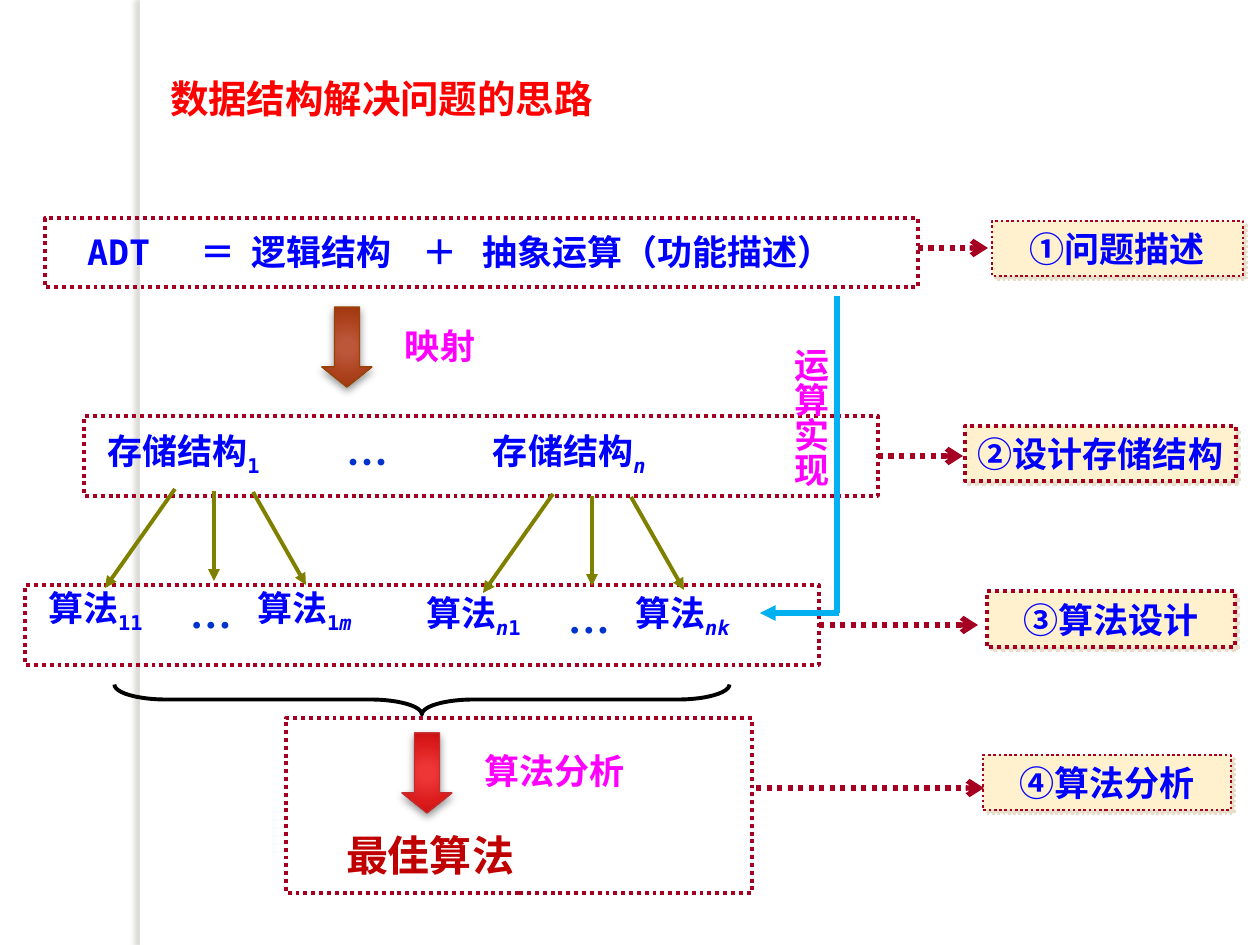
from dataclasses import dataclass

from lxml import etree
from pptx import Presentation
from pptx import util as u
from pptx.dml.color import RGBColor
from pptx.enum import dml, shapes, text
from pptx.oxml import ns

PX = 914400 / 126


@dataclass(frozen=True)
class Theme:
    sans: str = "Noto Sans CJK SC"
    mono: str = "DejaVu Sans Mono"
    serif: str = "Times New Roman"
    body: int = 20
    title: int = 22
    large: int = 24
    white: str = "FFFFFF"
    black: str = "000000"
    blue: str = "0000FF"
    dots: str = "0033CC"
    magenta: str = "FF00FF"
    red: str = "FF0000"
    result: str = "C00000"
    frame: str = "A50021"
    cream: str = "FFF1CE"
    cream_shadow: str = "E7DEC9"
    strip_shadow: str = "736F63"
    olive: str = "808000"
    sky: str = "00B0F0"
    brown_edge: str = "964305"
    brown: tuple = ("BD583A", "BC573A", "AB411C", "9C3308", "7E3600")
    red_edge: str = "C32D2E"
    reds: tuple = ("EF3737", "EE3637", "DB1C1C", "C70C0D", "C30001")
    stops: tuple = (0, 15, 62, 97, 100)


T = Theme()


def px(n):
    return u.Emu(round(n * PX))


def rgb(value):
    return RGBColor.from_string(value)


def sub(parent, tag, **attrs):
    return etree.SubElement(parent, ns.qn(tag), {k: str(v) for k, v in attrs.items()})


def add_color(parent, value, alpha=100):
    clr = sub(parent, "a:srgbClr", val=value)
    if alpha < 100:
        sub(clr, "a:alpha", val=alpha * 1000)


def set_line(s, color, width, dotted=False):
    s.line.color.rgb = rgb(color)
    s.line.width = u.Pt(width)
    if dotted:
        s.line.dash_style = dml.MSO_LINE.ROUND_DOT


def set_shadow(s, color, alpha, blur, dist, angle):
    effects = s._element.spPr.find(ns.qn("a:effectLst"))
    shadow = sub(effects, "a:outerShdw", blurRad=u.Pt(blur), dist=u.Pt(dist),
                 dir=angle * 60000, algn="ctr", rotWithShape=0)
    add_color(shadow, color, alpha)


def set_radial_fill(s, colors):
    s.fill.gradient()
    grad = s._element.spPr.find(ns.qn("a:gradFill"))
    grad.clear()
    stops = sub(grad, "a:gsLst")
    for pos, color in zip(T.stops, colors):
        add_color(sub(stops, "a:gs", pos=pos * 1000), color)
    radial = sub(grad, "a:path", path="circle")
    sub(radial, "a:fillToRect", l=50000, t=50000, r=50000, b=50000)


def write(s, runs, font, size, color, inset=13, anchor=text.MSO_ANCHOR.MIDDLE):
    tf = s.text_frame
    tf.word_wrap = True
    tf.vertical_anchor = anchor
    tf.margin_left = tf.margin_right = px(inset)
    p = tf.paragraphs[0]
    for content, lowered, italic in runs:
        r = p.add_run()
        r.text = content
        r.font.name = font
        r.font.size = u.Pt(size)
        r.font.bold = True
        r.font.color.rgb = rgb(color)
        if italic:
            r.font.italic = True
        rpr = r._r.get_or_add_rPr()
        if lowered:
            rpr.set("baseline", "-25000")
        sub(rpr, "a:ea", typeface=T.sans)
    return p


def add_text(slide, box, runs, color, font=T.sans, size=T.body, **options):
    s = slide.shapes.add_textbox(*map(px, box))
    if isinstance(runs, str):
        runs = [(runs, False, False)]
    write(s, runs, font, size, color, **options)
    return s


def add_preset(slide, kind, box):
    s = slide.shapes.add_shape(kind, *map(px, box))
    s.shadow.inherit = False
    s.fill.background()
    return s


def add_frame(slide, box):
    s = add_preset(slide, shapes.MSO_SHAPE.RECTANGLE, box)
    set_line(s, T.frame, 2.25, dotted=True)
    return s


def add_step(slide, box, label, width=2.25, font=T.sans, inset=13):
    s = add_preset(slide, shapes.MSO_SHAPE.RECTANGLE, box)
    s.fill.solid()
    s.fill.fore_color.rgb = rgb(T.cream)
    set_line(s, T.frame, width, dotted=True)
    set_shadow(s, T.cream_shadow, 100, 0, 2.8, 45)
    p = write(s, [(label, False, False)], font, T.body, T.blue, inset)
    p.alignment = text.PP_ALIGN.CENTER


def add_line(slide, start, end, color, width, head=None, dotted=False):
    c = slide.shapes.add_connector(shapes.MSO_CONNECTOR.STRAIGHT, *map(px, start + end))
    set_line(c, color, width, dotted)
    if head:
        sub(c.line._get_or_add_ln(), "a:tailEnd", type=head)
    sub(c._element.spPr, "a:effectLst")
    return c


def add_pointer(slide, start, end):
    return add_line(slide, start, end, T.frame, 3, "arrow", dotted=True)


def add_block_arrow(slide, left, top, colors, edge):
    s = add_preset(slide, shapes.MSO_SHAPE.DOWN_ARROW, (left, top, 50, 80))
    s.adjustments[0], s.adjustments[1] = 0.5, 0.4
    set_radial_fill(s, colors)
    set_line(s, edge, 0.75)
    set_shadow(s, T.black, 43, 5, 2, 90)


def add_branch(slide, dx, dy, first, last):
    for left, subscript in ((35, first), (244, last)):
        add_text(slide, (left + dx, 583 + dy, 159, 55), [("算法", False, False)] + subscript,
                 T.blue, T.mono)
    add_text(slide, (177 + dx, 580 + dy, 110, 63), "…", T.dots, T.serif, T.large)
    for x1, y1, x2, y2 in ((175, 489, 105, 588), (214, 491, 214, 581), (253, 492, 306, 585)):
        add_line(slide, (x1 + dx, y1 + dy), (x2 + dx, y2 + dy), T.olive, 2.25, "triangle")


def add_side_strip(slide):
    s = add_preset(slide, shapes.MSO_SHAPE.RECTANGLE, (140, 0, 10, 945))
    s.fill.solid()
    s.fill.fore_color.rgb = rgb(T.white)
    s.line.fill.background()
    set_shadow(s, T.strip_shadow, 25, 3, 3, 180)


def add_adt_formula(slide):
    s = add_text(slide, (74, 224, 823, 55), "ADT\t＝\t逻辑结构\t＋\t抽象运算（功能描述）",
                 T.blue, T.mono)
    tabs = sub(s.text_frame.paragraphs[0]._p.get_or_add_pPr(), "a:tabLst")
    for pos in (113, 164, 336, 395):
        sub(tabs, "a:tab", pos=px(pos), algn="l")


def add_brace(slide):
    s = add_preset(slide, shapes.MSO_SHAPE.LEFT_BRACE, (407, 392, 30, 615))
    s.rotation = 270
    s.adjustments[0], s.adjustments[1] = 1.72, 0.5
    set_line(s, T.black, 2.25)


def add_stages(slide):
    add_step(slide, (987, 591, 248, 56), "③算法设计")
    algorithms = add_frame(slide, (25, 585, 794, 80))
    add_pointer(slide, (819, 625), (978, 625)).begin_connect(algorithms, 3)
    add_step(slide, (965, 426, 271, 55), "②设计存储结构", inset=0)
    storage = add_frame(slide, (84, 416, 794, 80))
    add_pointer(slide, (878, 456), (963, 456)).begin_connect(storage, 3)
    add_step(slide, (992, 221, 251, 55), "①问题描述", 1.5)
    add_frame(slide, (45, 218, 873, 69))
    add_pointer(slide, (918, 248), (988, 248))


def main():
    prs = Presentation()
    prs.slide_width, prs.slide_height = px(1260), px(945)
    slide = prs.slides.add_slide(prs.slide_layouts[6])
    add_side_strip(slide)
    add_stages(slide)
    add_adt_formula(slide)
    add_block_arrow(slide, 322, 307, T.brown, T.brown_edge)
    add_text(slide, (392, 318, 169, 55), "映射", T.magenta)
    for left, index, italic in ((94, "1", False), (480, "n", True)):
        add_text(slide, (left, 426, 218, 55),
                 [("存储结构", False, False), (index, True, italic)], T.blue, T.mono)
    add_text(slide, (333, 430, 110, 63), "…", T.dots, size=T.large)
    add_branch(slide, 0, 0, [("11", True, False)], [("1", True, False), ("m", True, True)])
    add_branch(slide, 378, 5, [("n", True, True), ("1", True, False)], [("nk", True, True)])
    add_line(slide, (837, 296), (837, 613), T.sky, 3)
    add_line(slide, (839, 613), (760, 613), T.sky, 3, "triangle")
    s = add_text(slide, (777, 335, 68, 199), "运算实现", T.magenta, anchor=text.MSO_ANCHOR.TOP)
    s.text_frame._txBody.bodyPr.set("vert", "eaVert")
    add_brace(slide)
    add_text(slide, (333, 823, 218, 63), "最佳算法", T.result, size=T.large)
    add_block_arrow(slide, 402, 733, T.reds, T.red_edge)
    add_text(slide, (471, 743, 208, 55), "算法分析", T.magenta)
    add_frame(slide, (286, 718, 466, 175))
    add_step(slide, (983, 755, 248, 55), "④算法分析", 1.5, T.serif)
    add_pointer(slide, (756, 788), (984, 788))
    add_text(slide, (157, 69, 601, 59), "数据结构解决问题的思路", T.red, size=T.title)
    prs.save("out.pptx")


if __name__ == "__main__":
    main()
